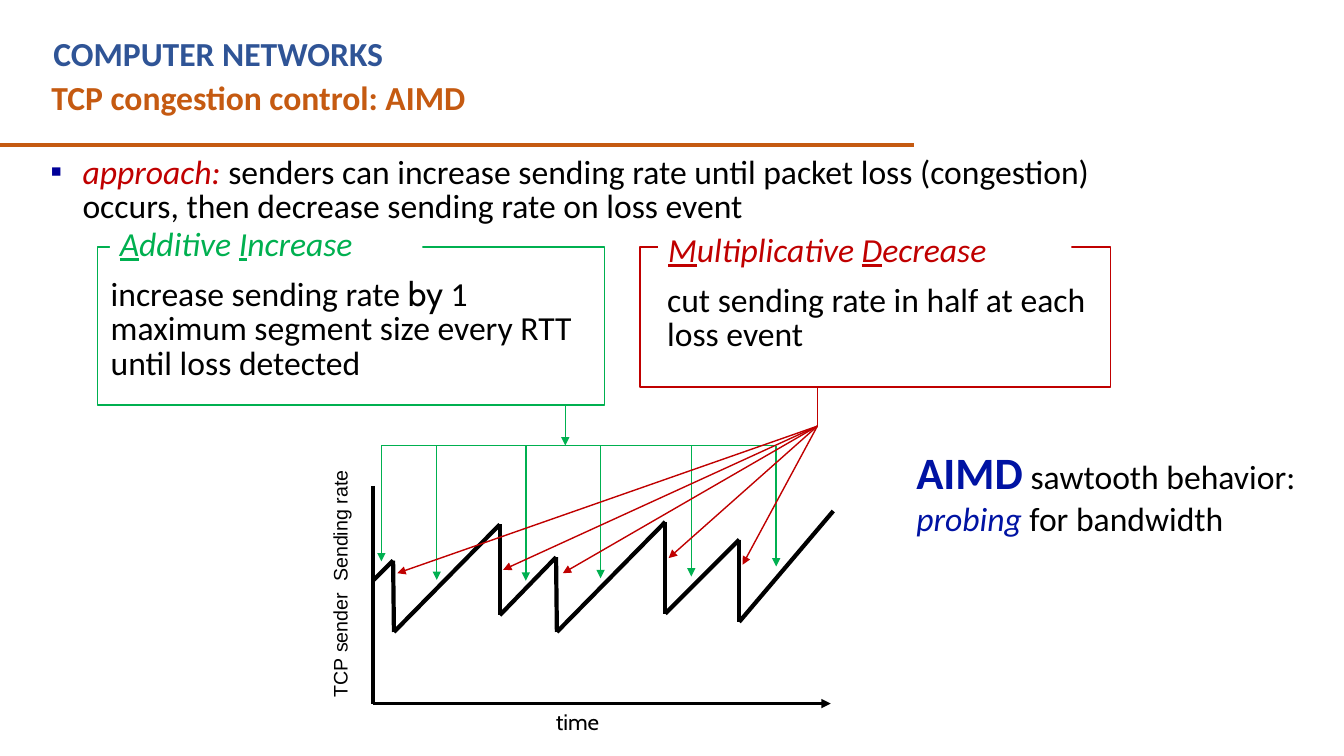
from dataclasses import dataclass
from itertools import pairwise

from lxml.etree import SubElement
from pptx import Presentation
from pptx.dml.color import RGBColor
from pptx.enum.shapes import MSO_CONNECTOR, MSO_SHAPE
from pptx.enum.text import MSO_ANCHOR, MSO_AUTO_SIZE, PP_ALIGN
from pptx.oxml.ns import qn
from pptx.util import Inches, Pt

COLUMNS, ROWS = 160, 90
SLIDE_WIDTH, SLIDE_HEIGHT = Inches(13.33), Inches(7.5)


@dataclass(frozen=True)
class Theme:
    course: str = "2F5496"
    accent: str = "C55A11"
    increase: str = "00B050"
    decrease: str = "C00000"
    bullet: str = "000099"
    emphasis: str = "0013A3"
    ink: str = "000000"
    paper: str = "FFFFFF"
    font: str = "Calibri"
    label_font: str = "Cabin"
    axis_font: str = "Arial"
    text: int = 24
    big: int = 32
    axis: int = 14
    time: int = 16
    thin: float = 1
    medium: float = 2.25
    thick: float = 3
    tight: float = 0.85


THEME = Theme()


@dataclass(frozen=True)
class Box:
    column: float
    row: float
    columns: float
    rows: float

    def inner(self, column, row, columns, rows):
        return Box(self.column + column, self.row + row, columns, rows)

    def point(self, column, row):
        return (
            round((self.column + column) * SLIDE_WIDTH / COLUMNS),
            round((self.row + row) * SLIDE_HEIGHT / ROWS),
        )

    def frame(self):
        left, top = self.point(0, 0)
        right, bottom = self.point(self.columns, self.rows)
        return left, top, right - left, bottom - top


def rgb(color):
    return RGBColor.from_string(color)


def add_line(slide, box, start, end, color, width, arrow=False):
    line = slide.shapes.add_connector(
        MSO_CONNECTOR.STRAIGHT, *box.point(*start), *box.point(*end)
    )
    line.line.color.rgb = rgb(color)
    line.line.width = Pt(width)
    if arrow:
        SubElement(line.line._get_or_add_ln(), qn("a:tailEnd"), type="triangle")
    SubElement(line._element.spPr, qn("a:effectLst"))


def add_panel(slide, box, border=None):
    panel = slide.shapes.add_shape(MSO_SHAPE.RECTANGLE, *box.frame())
    panel.shadow.inherit = False
    panel.fill.solid()
    panel.fill.fore_color.rgb = rgb(THEME.paper)
    if border:
        panel.line.color.rgb = rgb(border)
        panel.line.width = Pt(THEME.thin)
    else:
        panel.line.fill.background()
    return panel


def add_textbox(slide, box):
    return slide.shapes.add_textbox(*box.frame())


def write(holder, runs, spacing=None, wrap=True):
    frame = holder.text_frame
    frame.word_wrap = wrap
    frame.auto_size = MSO_AUTO_SIZE.NONE
    frame.vertical_anchor = MSO_ANCHOR.TOP
    paragraph = frame.paragraphs[0]
    paragraph.alignment = PP_ALIGN.LEFT
    if spacing:
        paragraph.line_spacing = spacing
    for words, style in runs:
        run = paragraph.add_run()
        run.text = words
        run.font.name = style.get("font", THEME.font)
        run.font.size = Pt(style.get("size", THEME.text))
        run.font.color.rgb = rgb(style.get("color", THEME.ink))
        run.font.bold = style.get("bold", False)
        run.font.italic = style.get("italic", False)
        run.font.underline = style.get("underline", False)


def add_header(slide, box):
    add_line(slide, box, (0, 17.28), (108.84, 17.28), THEME.accent, THEME.thick)
    course = add_textbox(slide, box.inner(5.16, 3.36, 98.4, 6))
    write(course, [("COMPUTER NETWORKS", {"color": THEME.course, "bold": True})])
    title = slide.shapes.title
    title.left, title.top, title.width, title.height = box.inner(4.92, 8.52, 105, 6).frame()
    write(title, [("TCP congestion control: AIMD", {"color": THEME.accent, "bold": True})])


def add_approach(slide, box):
    approach = add_textbox(slide, box)
    indent = Inches(0.32)
    properties = approach.text_frame.paragraphs[0]._p.get_or_add_pPr()
    properties.set("marL", str(indent))
    properties.set("indent", str(-indent))
    bullet_color = SubElement(properties, qn("a:buClr"))
    SubElement(bullet_color, qn("a:srgbClr"), val=THEME.bullet)
    SubElement(properties, qn("a:buFont"), typeface=THEME.axis_font)
    SubElement(properties, qn("a:buChar"), char="▪")
    write(approach, [
        ("approach: ", {"color": THEME.decrease, "italic": True}),
        ("senders can increase sending rate until packet loss (congestion) "
         "occurs, then decrease sending rate on loss event", {}),
    ], THEME.tight)


def add_rule(slide, box, color, heading, heading_box, explanation, explanation_box):
    add_panel(slide, box, color)
    write(add_textbox(slide, box.inner(*explanation_box)), explanation, THEME.tight)
    initials = []
    for word in heading:
        initials.append((word[0], {"color": color, "italic": True, "underline": True}))
        initials.append((word[1:], {"color": color, "italic": True}))
    write(add_panel(slide, box.inner(*heading_box)), initials, THEME.tight)


def add_conclusion(slide, box):
    write(add_textbox(slide, box), [
        ("AIMD", {"size": THEME.big, "color": THEME.emphasis, "bold": True}),
        (" sawtooth behavior: ", {}),
        ("probing ", {"color": THEME.emphasis, "italic": True}),
        ("for bandwidth", {}),
    ])


def add_sawtooth(slide, box):
    rate_points = [
        (0.1, 11.2), (2.4, 8.9), (2.5, 17.4), (15.1, 4.6), (15.1, 15.4), (21.8, 8.5),
        (21.9, 17.4), (34.8, 4.3), (34.8, 15.2), (43.6, 6.4), (43.6, 16.2), (54.8, 3),
    ]
    for start, end in pairwise(rate_points):
        add_line(slide, box, start, end, THEME.ink, THEME.thick)
    rate_label = add_panel(slide, box.inner(-18.84, 9.36, 29.9, 4.1))
    rate_label.rotation = 270
    write(rate_label, [("TCP sender  Sending rate", {"size": THEME.axis, "font": THEME.axis_font})])
    origin = (0, box.rows)
    add_line(slide, box, origin, (box.columns, box.rows), THEME.ink, THEME.medium, True)
    add_line(slide, box, (0, 0), origin, THEME.ink, THEME.medium)
    time_label = add_textbox(slide, box.inner(20.6, box.rows - 0.1, 7.6, 4.4))
    write(time_label, [("time", {"size": THEME.time, "font": THEME.label_font})], wrap=False)


def add_increase_arrows(slide, box):
    bar, stem = -4.8, 22.9
    climbs = [(1, 9), (7.6, 11.2), (18.2, 11.3), (27.1, 11), (37.9, 10.8), (48, 9.6)]
    for column, row in climbs:
        add_line(slide, box, (column, bar), (column, row), THEME.increase, THEME.thin, True)
    add_line(slide, box, (climbs[0][0], bar), (climbs[-1][0], bar), THEME.increase, THEME.thin)
    add_line(slide, box, (stem, -9.6), (stem, bar), THEME.increase, THEME.thin, True)


def add_decrease_arrows(slide, box):
    hub = (52.9, -7.1)
    for loss in [(44, 9.4), (2.9, 10.4), (15.5, 10), (22.6, 10.4), (35.2, 8.6)]:
        add_line(slide, box, hub, loss, THEME.decrease, THEME.thin, True)
    add_line(slide, box, hub, (hub[0], -11.8), THEME.decrease, THEME.thin)


def main():
    deck = Presentation()
    deck.slide_width, deck.slide_height = SLIDE_WIDTH, SLIDE_HEIGHT
    slide = deck.slides.add_slide(deck.slide_layouts[5])
    plot = Box(44.4, 57.84, 54.5, 25.92)
    add_header(slide, Box(0, 0, COLUMNS, 18))
    add_approach(slide, Box(4.8, 18.12, 134.9, 19))
    add_conclusion(slide, Box(107.9, 52.3, 48.5, 12.5))
    add_sawtooth(slide, plot)
    add_rule(
        slide, Box(11.64, 29.4, 60.36, 18.84), THEME.increase,
        ["Additive ", "Increase"], (1.44, -2.76, 37.2, 5.9),
        [("increase sending rate ", {}), ("by ", {"font": THEME.label_font}),
         ("1 maximum segment size every RTT until loss detected", {})],
        (0.36, 3.24, 60.4, 19),
    )
    add_rule(
        slide, Box(76.2, 29.4, 56.04, 16.68), THEME.decrease,
        ["Multiplicative ", "Decrease"], (2.16, -2.04, 49.2, 5.9),
        [("cut sending rate in half at each loss event", {})],
        (2.04, 3.96, 56.3, 10.8),
    )
    add_increase_arrows(slide, plot)
    add_decrease_arrows(slide, plot)
    deck.save("out.pptx")


if __name__ == "__main__":
    main()
